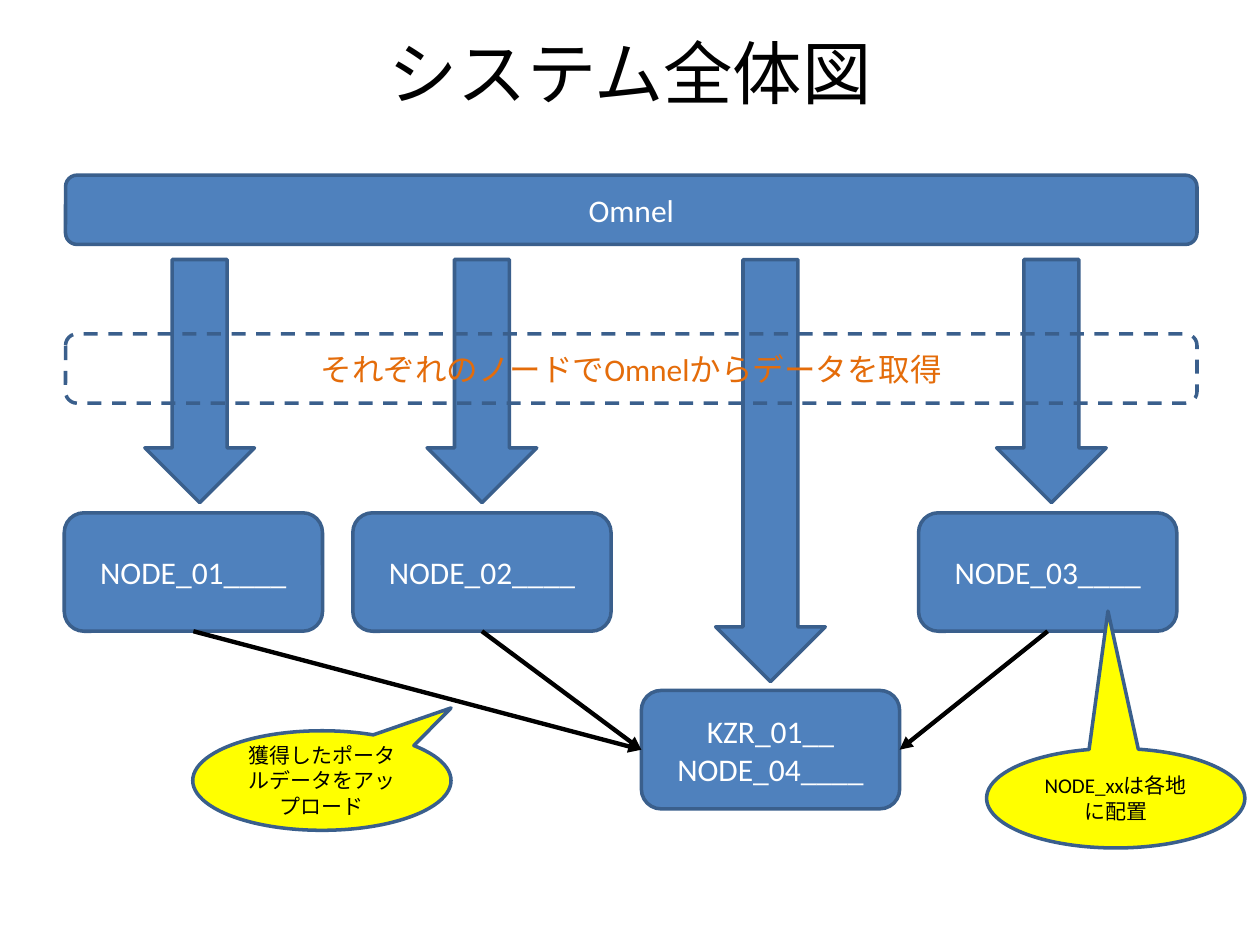
import pptx
import pptx.util
import pptx.dml.color
import pptx.enum.dml
import pptx.enum.shapes
import pptx.enum.text
import pptx.oxml
import pptx.oxml.ns

KIND = pptx.enum.shapes.MSO_SHAPE
COLOR = {"blue": "4F81BD", "edge": "3A5F8C", "black": "000000",
         "white": "FFFFFF", "orange": "E46C0A", "yellow": "FFFF00"}
LEFT, RIGHT, BOTTOM = 1, 3, 2  # connection sites of a rounded box


class Board:
    """Draws on one slide, measured in a grid of 100 columns by 75 rows."""

    font = "Calibri"
    cell = pptx.util.Inches(0.1)

    def __init__(self, deck):
        self.slide = deck.slides.add_slide(deck.slide_layouts[6])
        self.shapes = self.slide.shapes

    def grid(self, *cells):
        return [round(n * self.cell) for n in cells]

    def tint(self, name):
        return pptx.dml.color.RGBColor.from_string(COLOR[name])

    def label(self, shape, text, size, color):
        frame = shape.text_frame
        frame.word_wrap = True
        frame.vertical_anchor = pptx.enum.text.MSO_ANCHOR.MIDDLE
        frame.text = text
        for para in frame.paragraphs:
            para.alignment = pptx.enum.text.PP_ALIGN.CENTER
            for run in para.runs:
                run.font.name = self.font
                run.font.size = pptx.util.Pt(size)
                run.font.color.rgb = self.tint(color)

    def title(self, text, area):
        self.label(self.shapes.add_textbox(*self.grid(*area)), text, 39.6, "black")

    def shape(self, kind, area, fill="blue"):
        shape = self.shapes.add_shape(kind, *self.grid(*area))
        shape.shadow.inherit = False
        if fill:
            shape.fill.solid()
            shape.fill.fore_color.rgb = self.tint(fill)
        else:
            shape.fill.background()
        shape.line.color.rgb = self.tint("edge")
        shape.line.width = pptx.util.Pt(2)
        return shape

    def box(self, text, area, fill="blue", color="white"):
        shape = self.shape(KIND.ROUNDED_RECTANGLE, area, fill)
        self.label(shape, text, 18, color)
        return shape

    def arrow(self, mid, top, high, wide=8.7):
        self.shape(KIND.DOWN_ARROW, (mid - wide / 2, top, wide, high))

    def bubble(self, text, area, tip):
        shape = self.shape(KIND.OVAL_CALLOUT, area, "yellow")
        shape.adjustments[0], shape.adjustments[1] = tip
        self.label(shape, text, 12, "black")

    def link(self, start, end, site):
        line = self.shapes.add_connector(
            pptx.enum.shapes.MSO_CONNECTOR.STRAIGHT, 0, 0, 0, 0)
        line.begin_connect(start, BOTTOM)
        line.end_connect(end, site)
        line.line.color.rgb = self.tint("black")
        line.line.width = pptx.util.Pt(2.5)
        space = pptx.oxml.ns.nsdecls("a")
        props = line._element.spPr
        props.get_or_add_ln().append(
            pptx.oxml.parse_xml(f'<a:tailEnd {space} type="triangle"/>'))
        props.append(pptx.oxml.parse_xml(f"<a:effectLst {space}/>"))


def main():
    deck = pptx.Presentation()
    deck.slide_width = pptx.util.Inches(10)
    deck.slide_height = pptx.util.Inches(7.5)
    board = Board(deck)
    board.title("システム全体図", (5, 3, 90, 5.4))

    size = (20.5, 9.4)
    nodes = [board.box(f"NODE_0{num}____", (left, 40.7, *size))
             for num, left in enumerate((5.1, 28, 72.9), 1)]
    hub = board.box("KZR_01__\nNODE_04____", (50.9, 54.8, *size))
    for node, site in zip(nodes, (LEFT, LEFT, RIGHT)):
        board.link(node, hub, site)

    band = (89.8, 5.5)
    board.box("Omnel", (5.2, 13.9, *band))
    for mid, high in ((15.85, 19.3), (38.25, 19.3), (83.45, 19.3), (61.15, 33.5)):
        board.arrow(mid, 20.6, high)
    note = board.box("それぞれのノードでOmnelからデータを取得",
                     (5.2, 26.5, *band), None, "orange")
    note.line.dash_style = pptx.enum.dml.MSO_LINE.DASH

    oval = (20.5, 7.9)
    board.bubble("獲得したポータルデータをアップロード", (15.3, 58, *oval), (0.5, -0.73))
    board.bubble("NODE_xxは各地に配置", (78.3, 59.4, *oval), (-0.03, -1.88))
    deck.save("out.pptx")


if __name__ == "__main__":
    main()
